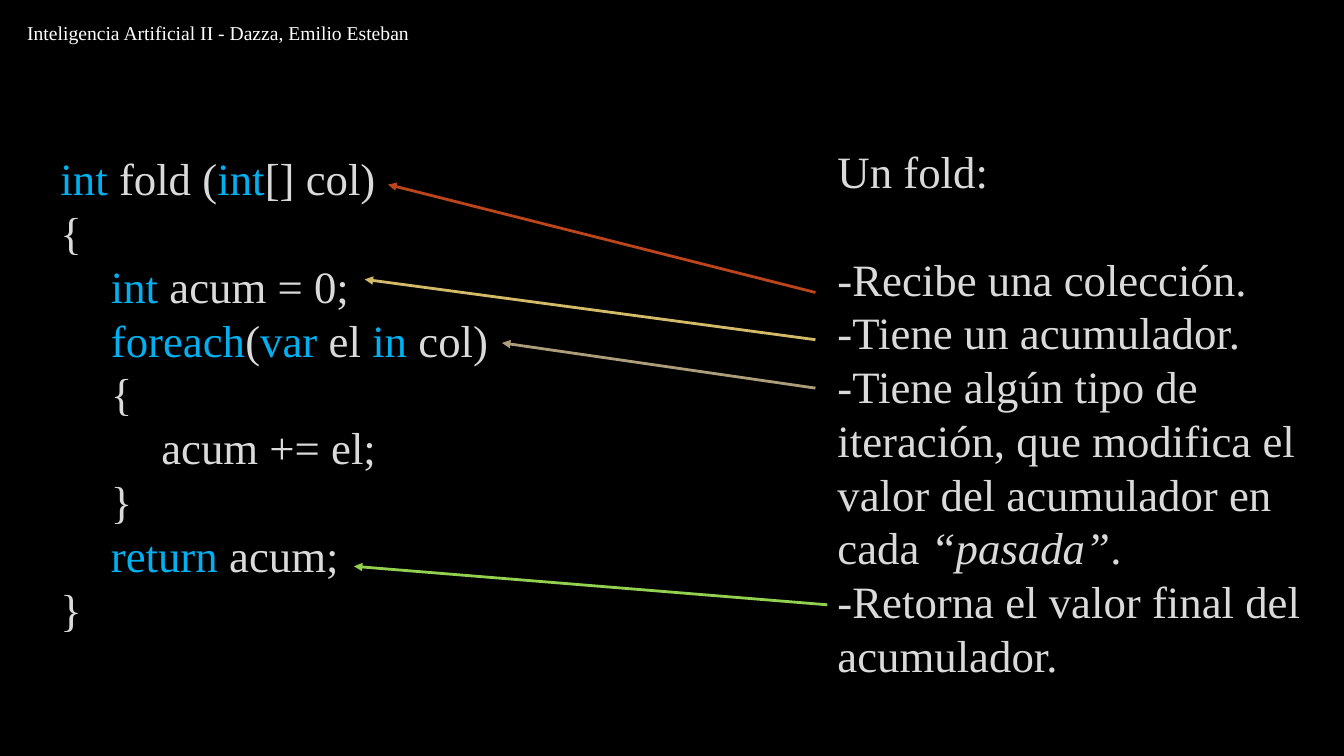
from dataclasses import dataclass

from lxml.etree import SubElement
from pptx import Presentation
from pptx.dml.color import RGBColor
from pptx.enum.shapes import MSO_CONNECTOR
from pptx.enum.text import MSO_ANCHOR, MSO_AUTO_SIZE, PP_ALIGN
from pptx.oxml.ns import qn
from pptx.util import Cm, Pt

BLACK = RGBColor(0x00, 0x00, 0x00)
WHITE = RGBColor(0xFF, 0xFF, 0xFF)
LIGHT_GREY = RGBColor(0xDA, 0xDA, 0xDA)
KEYWORD_BLUE = RGBColor(0x00, 0xB0, 0xF0)
RUST = RGBColor(0xBC, 0x45, 0x1B)
GOLD = RGBColor(0xD3, 0xBA, 0x68)
TAUPE = RGBColor(0xAD, 0x9D, 0x7B)
GREEN = RGBColor(0x92, 0xD0, 0x50)

FONT = "Times New Roman"
INDENT_CM = 1.27
LINE_PITCH = Pt(38.4)
MARK = "|"  # encloses the emphasised parts of a line


@dataclass(frozen=True)
class Box:
    left: float
    top: float
    width: float
    height: float


@dataclass(frozen=True)
class Line:
    text: str
    depth: int = 0
    space_after: int = 0


@dataclass(frozen=True)
class Arrow:
    start: tuple[float, float]
    end: tuple[float, float]
    color: RGBColor


HEADER = "Inteligencia Artificial II - Dazza, Emilio Esteban"
HEADER_BOX = Box(0.43, 0.41, 10.64, 1.17)
CODE_BOX = Box(1.27, 3.48, 13.03, 12.65)
NOTES_BOX = Box(20.85, 4.65, 13.03, 12.65)

CODE = [
    Line("|int| fold (|int|[] col)"),
    Line("{"),
    Line("|int| acum = 0;", 1),
    Line("|foreach|(|var| el |in| col)", 1),
    Line("{", 1),
    Line("acum += el;", 2),
    Line("}", 1),
    Line("|return| acum;", 1),
    Line("}"),
]

NOTES = [
    Line("Un fold:", space_after=LINE_PITCH),
    Line("-Recibe una colección."),
    Line("-Tiene un acumulador."),
    Line("-Tiene algún tipo de iteración, que modifica el valor del "
         "acumulador en cada |“pasada”|."),
    Line("-Retorna el valor final del acumulador."),
]

ARROWS = [
    Arrow((20.55, 7.37), (9.78, 4.65), RUST),
    Arrow((20.55, 8.56), (9.19, 7.04), GOLD),
    Arrow((20.55, 9.78), (12.65, 8.64), TAUPE),
    Arrow((20.85, 15.24), (8.92, 14.27), GREEN),
]


def place(shape, box: Box, anchor: MSO_ANCHOR) -> None:
    shape.left, shape.top = Cm(box.left), Cm(box.top)
    shape.width, shape.height = Cm(box.width), Cm(box.height)
    frame = shape.text_frame
    frame.word_wrap = True
    frame.auto_size = MSO_AUTO_SIZE.NONE
    frame.vertical_anchor = anchor


def format_paragraph(paragraph, size: int, color: RGBColor) -> None:
    paragraph.alignment = PP_ALIGN.LEFT
    paragraph.space_before = Pt(0)
    paragraph.font.name = FONT
    paragraph.font.size = Pt(size)
    paragraph.font.color.rgb = color


def fill_body(shape, lines: list[Line], emphasis) -> None:
    frame = shape.text_frame
    for number, line in enumerate(lines):
        paragraph = frame.add_paragraph() if number else frame.paragraphs[0]
        properties = paragraph._p.get_or_add_pPr()
        properties.set("marL", str(Cm(INDENT_CM * line.depth)))
        properties.set("indent", "0")
        SubElement(properties, qn("a:buNone"))
        format_paragraph(paragraph, 32, LIGHT_GREY)
        paragraph.line_spacing = LINE_PITCH
        paragraph.space_after = line.space_after
        for position, part in enumerate(line.text.split(MARK)):
            if part:
                run = paragraph.add_run()
                run.text = part
                if position % 2:
                    emphasis(run.font)


def color_keyword(font) -> None:
    font.color.rgb = KEYWORD_BLUE


def italicize(font) -> None:
    font.italic = True


def draw_arrow(slide, arrow: Arrow) -> None:
    ends = [Cm(value) for value in arrow.start + arrow.end]
    connector = slide.shapes.add_connector(MSO_CONNECTOR.STRAIGHT, *ends)
    connector.line.color.rgb = arrow.color
    connector.line.width = Pt(2)
    SubElement(connector.line._get_or_add_ln(), qn("a:tailEnd"), type="triangle")
    SubElement(connector._element.spPr, qn("a:effectLst"))


def main() -> None:
    presentation = Presentation()
    presentation.slide_width = Cm(33.87)
    presentation.slide_height = Cm(19.05)
    slide = presentation.slides.add_slide(presentation.slide_layouts[3])
    slide.background.fill.solid()
    slide.background.fill.fore_color.rgb = BLACK
    header, code, notes = slide.placeholders

    # Header
    place(header, HEADER_BOX, MSO_ANCHOR.TOP)
    header.text_frame.text = HEADER
    format_paragraph(header.text_frame.paragraphs[0], 14, WHITE)

    # Code on the left, explanation on the right
    place(code, CODE_BOX, MSO_ANCHOR.BOTTOM)
    fill_body(code, CODE, color_keyword)
    place(notes, NOTES_BOX, MSO_ANCHOR.BOTTOM)
    fill_body(notes, NOTES, italicize)

    # Arrows from each explanation to its line of code
    for arrow in ARROWS:
        draw_arrow(slide, arrow)

    presentation.save("out.pptx")


if __name__ == "__main__":
    main()
